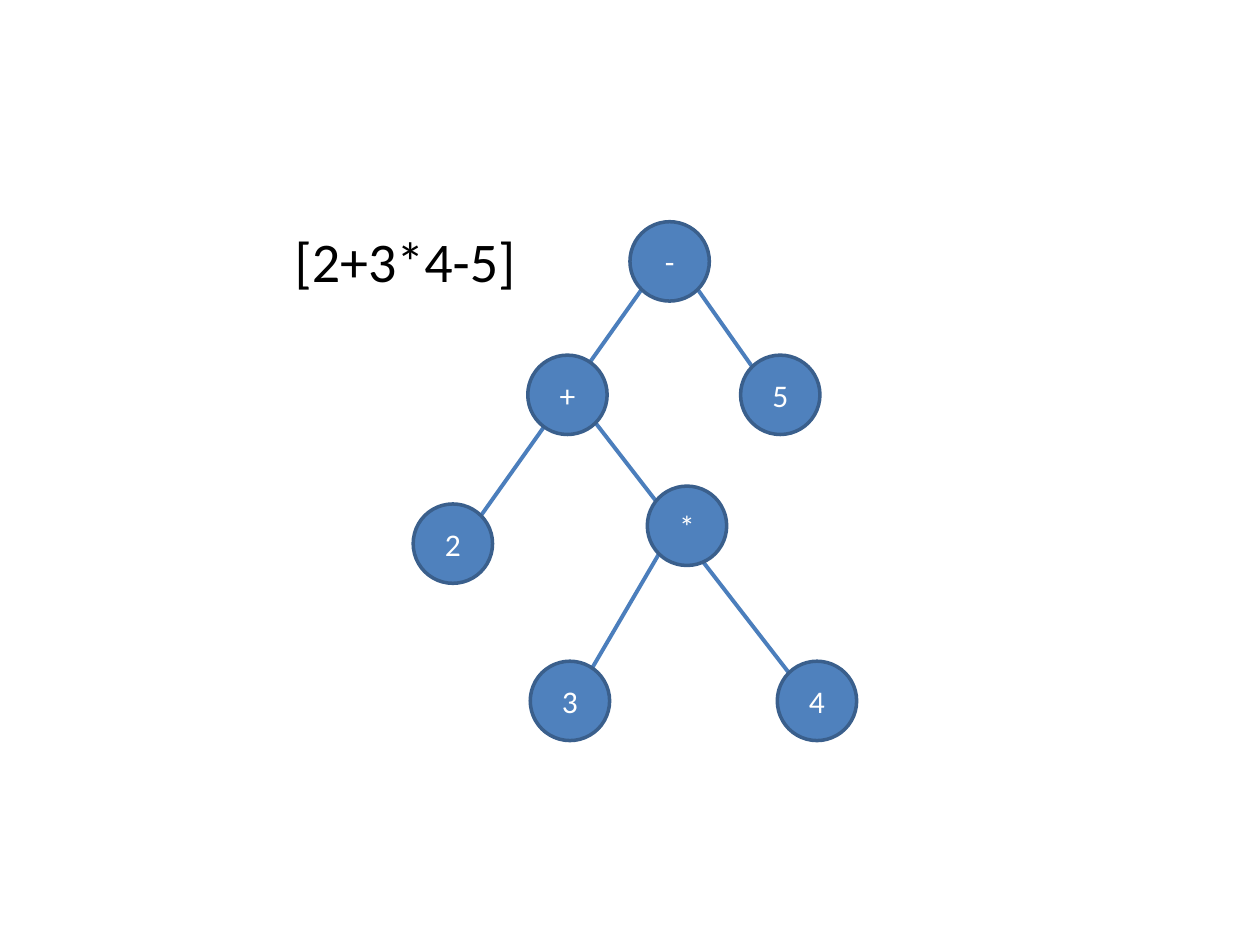
from dataclasses import dataclass
from math import cos, radians, sin

from lxml import etree
from pptx import Presentation
from pptx.dml.color import RGBColor
from pptx.enum.shapes import MSO_CONNECTOR, MSO_SHAPE
from pptx.enum.text import MSO_ANCHOR, MSO_AUTO_SIZE, PP_ALIGN
from pptx.oxml.ns import qn
from pptx.util import Cm, Pt

OVAL = MSO_SHAPE.OVAL
STRAIGHT = MSO_CONNECTOR.STRAIGHT
MIDDLE = MSO_ANCHOR.MIDDLE
FIT_SHAPE = MSO_AUTO_SIZE.SHAPE_TO_FIT_TEXT
LEFT, CENTER = PP_ALIGN.LEFT, PP_ALIGN.CENTER


@dataclass(frozen=True)
class Theme:
    font: str = "Calibri"
    node_fill: str = "4F81BD"
    node_outline: str = "3A5F8C"
    branch: str = "4B7EBC"
    node_text: str = "FFFFFF"
    text: str = "000000"
    node_size: int = 18
    expression_size: int = 32
    outline_width: float = 2
    branch_width: float = 2.25


THEME = Theme()
DIAMETER = 1.6

# Node positions in cm, from the top left of the tree
NODES = {
    "-": (4.37, 0),
    "2": (0, 5.69),
    "3": (2.36, 8.86),
    "4": (7.34, 8.86),
    "5": (6.6, 2.69),
    "+": (2.31, 2.69),
    "*": (4.72, 5.33),
}

# Upper node, lower node, and the rim angles where the branch meets them;
# the long branches pass behind the operator between their ends
BRANCHES = [
    ("-", "2", 225, 45),
    ("*", "3", 225, 56),
    ("-", "5", 315, 135),
    ("+", "4", 315, 135),
]


def write(frame, text, *, size, color, align=LEFT):
    paragraph = frame.paragraphs[0]
    paragraph.alignment = align
    run = paragraph.add_run()
    run.text = text
    run.font.name = THEME.font
    run.font.size = Pt(size)
    run.font.color.rgb = RGBColor.from_string(color)


def rim_point(symbol, angle, left, top):
    x, y = NODES[symbol]
    radius = DIAMETER / 2
    return (Cm(left + x + radius + radius * cos(radians(angle))),
            Cm(top + y + radius - radius * sin(radians(angle))))


def add_branch(slide, start, end):
    branch = slide.shapes.add_connector(STRAIGHT, *start, *end)
    branch.line.color.rgb = RGBColor.from_string(THEME.branch)
    branch.line.width = Pt(THEME.branch_width)
    etree.SubElement(branch._element.spPr, qn("a:effectLst"))


def add_node(slide, symbol, left, top):
    node = slide.shapes.add_shape(
        OVAL, Cm(left), Cm(top), Cm(DIAMETER), Cm(DIAMETER))
    node.shadow.inherit = False
    node.fill.solid()
    node.fill.fore_color.rgb = RGBColor.from_string(THEME.node_fill)
    node.line.color.rgb = RGBColor.from_string(THEME.node_outline)
    node.line.width = Pt(THEME.outline_width)
    node.text_frame.vertical_anchor = MIDDLE
    write(node.text_frame, symbol, size=THEME.node_size,
          color=THEME.node_text, align=CENTER)


def add_tree(slide, left, top):
    # Branches lie behind the nodes
    for upper, lower, start_angle, end_angle in BRANCHES:
        add_branch(slide, rim_point(upper, start_angle, left, top),
                   rim_point(lower, end_angle, left, top))
    for symbol, (x, y) in NODES.items():
        add_node(slide, symbol, left + x, top + y)


def add_expression(slide, text, left, top, width, height):
    expression = slide.shapes.add_textbox(
        Cm(left), Cm(top), Cm(width), Cm(height))
    frame = expression.text_frame
    frame.word_wrap = True
    frame.auto_size = FIT_SHAPE
    write(frame, text, size=THEME.expression_size, color=THEME.text)


def main():
    deck = Presentation()
    deck.slide_width, deck.slide_height = Cm(25.4), Cm(19.05)
    slide = deck.slides.add_slide(deck.slide_layouts[6])

    # Syntax tree
    add_tree(slide, 8.33, 4.47)

    # Expression the tree stands for
    add_expression(slide, "[2+3*4-5]", 5.69, 4.45, 5, 1.62)

    deck.save("out.pptx")


main()
